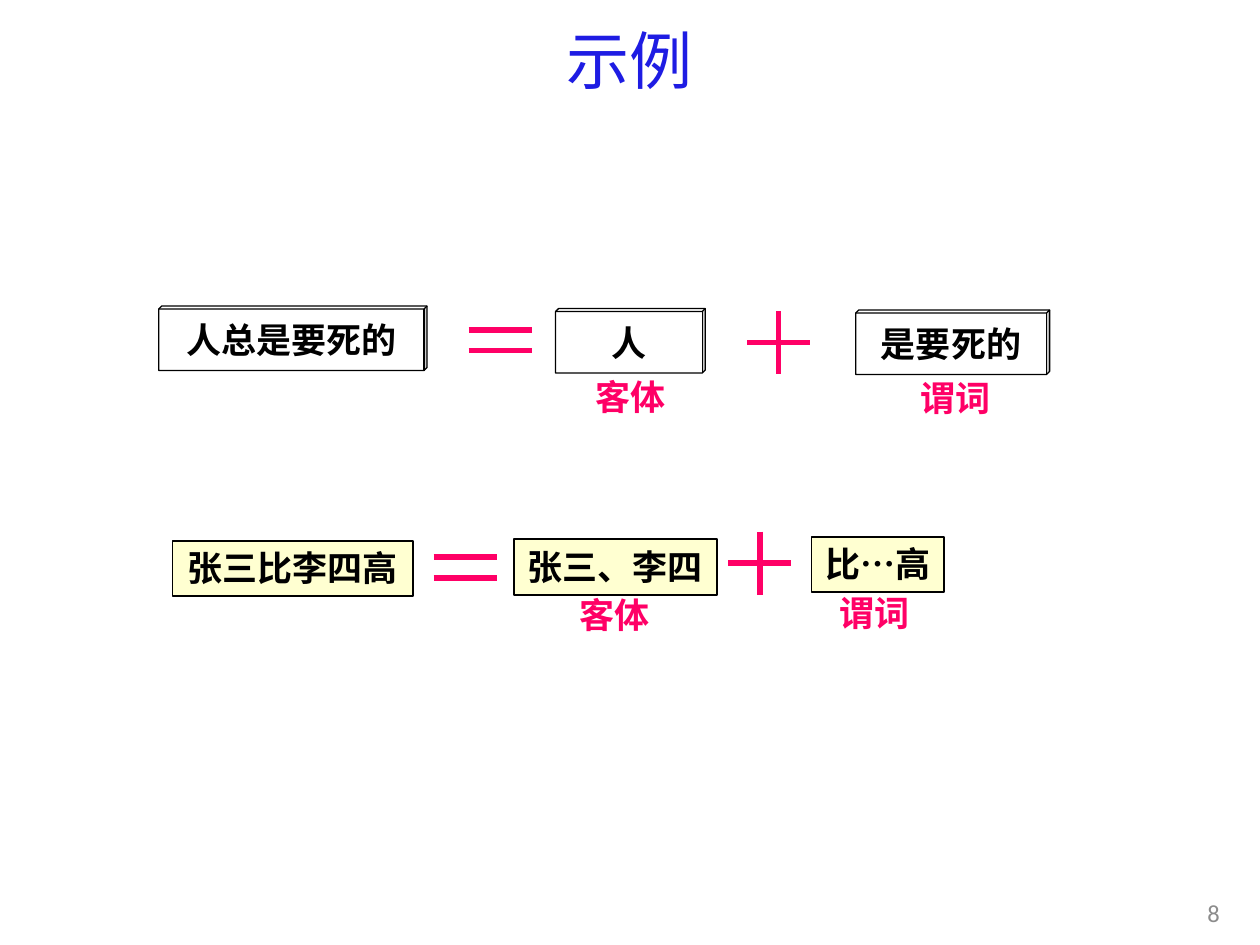
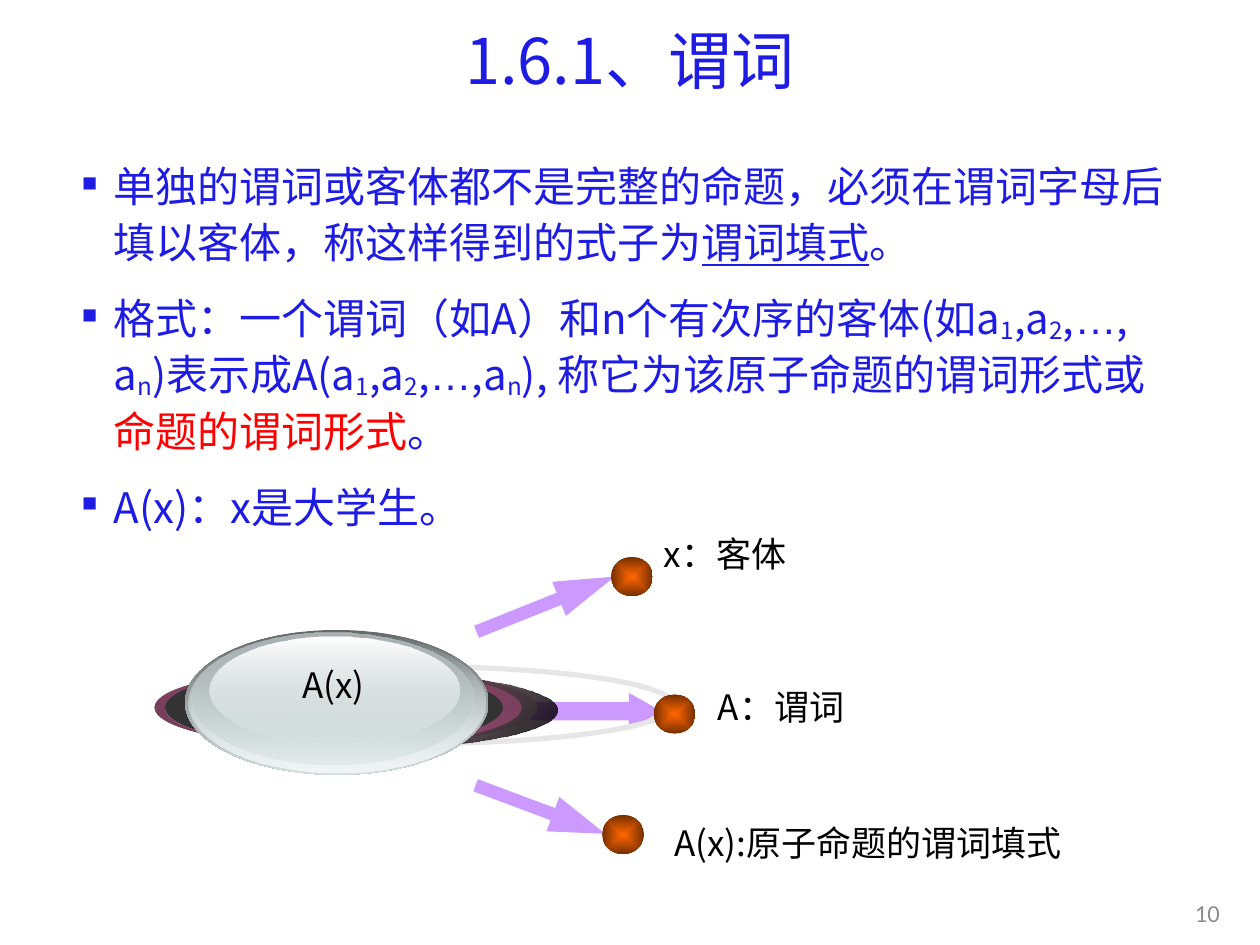
from lxml.etree import SubElement
from pptx import Presentation
from pptx.dml.color import RGBColor
from pptx.enum.shapes import MSO_CONNECTOR as Connector, MSO_SHAPE as Preset
from pptx.enum.text import MSO_ANCHOR as Anchor, PP_ALIGN as Align
from pptx.oxml import parse_xml
from pptx.oxml.ns import nsdecls, qn
from pptx.util import Cm, Pt

COLOURS = {
    "text": "000000", "title": "1E1CE3", "number": "8C8C8C", "accent": "FF0066",
    "white": "FFFFFF", "cream": "FFFFCC", "red": "FF0000", "arrow": "CC99FF",
    "ring": "E7E6E6", "orange": "FF6600", "brown": "762F00", "plum": "954F72",
    "dark plum": "723C57", "mid plum": "7A415E", "charcoal": "333333",
    "steel": "636869", "silver": "AAB2B3", "mist": "D6E1E2", "pale": "F1F5F5",
}
FONT = "Noto Sans CJK SC"
LINE_HEIGHT = 1.12
SIGN_SIZE = 1.27
SIGN_GAP = 0.42
BALL_SIZE = (0.84, 0.79)


def rgb(name):
    return RGBColor.from_string(COLOURS[name])


def add_run(paragraph, text, size=20, colour="text", font=FONT, bold=False,
            underline=False, baseline=0):
    run = paragraph.add_run()
    run.text = text
    run.font.size = Pt(size)
    run.font.bold = bold
    run.font.underline = underline
    run.font.color.rgb = rgb(colour)
    run.font.name = font
    properties = run.font._element
    properties.set("lang", "zh-CN")
    if baseline:
        properties.set("baseline", str(baseline * 1000))
    SubElement(properties, qn("a:ea")).set("typeface", font)


def write_text(shape, *paragraphs, align=Align.LEFT, anchor=Anchor.TOP, wrap=True,
               line_spacing=None, space=None, bullet=None, **run_format):
    frame = shape.text_frame
    frame.word_wrap = wrap
    frame.vertical_anchor = anchor
    for index, pieces in enumerate(paragraphs):
        paragraph = frame.add_paragraph() if index else frame.paragraphs[0]
        paragraph.alignment = align
        if line_spacing:
            paragraph.line_spacing = line_spacing
        if space:
            paragraph.space_before = paragraph.space_after = Pt(space)
        if bullet:
            add_bullet(paragraph, bullet)
        if isinstance(pieces, str):
            pieces = [(pieces, {})]
        for text, changes in pieces:
            add_run(paragraph, text, **{**run_format, **changes})


def add_bullet(paragraph, character, indent=0.64, percent=50):
    properties = paragraph._p.get_or_add_pPr()
    properties.set("marL", str(Cm(indent)))
    properties.set("indent", str(-Cm(indent)))
    colour = SubElement(properties, qn("a:buClr"))
    SubElement(colour, qn("a:srgbClr")).set("val", COLOURS["title"])
    SubElement(properties, qn("a:buSzPct")).set("val", str(percent * 1000))
    SubElement(properties, qn("a:buChar")).set("char", character)


def add_text(slide, left, top, width, height, *paragraphs, **text_format):
    box = slide.shapes.add_textbox(Cm(left), Cm(top), Cm(width), Cm(height))
    write_text(box, *paragraphs, **text_format)


def add_shape(slide, preset, left, top, width, height, fill=None, line=None,
              line_width=1, opacity=100, rotation=0, adjustments=()):
    shape = slide.shapes.add_shape(preset, Cm(left), Cm(top), Cm(width), Cm(height))
    shape.shadow.inherit = False
    shape.rotation = rotation
    for index, value in enumerate(adjustments):
        shape.adjustments[index] = value
    if fill:
        shape.fill.solid()
        shape.fill.fore_color.rgb = rgb(fill)
        if opacity < 100:
            colour = shape._element.spPr.find(qn("a:solidFill"))[0]
            SubElement(colour, qn("a:alpha")).set("val", str(opacity * 1000))
    else:
        shape.fill.background()
    if line:
        shape.line.color.rgb = rgb(line)
        shape.line.width = Pt(line_width)
    else:
        shape.line.fill.background()
    return shape


def add_gradient_ellipse(slide, left, top, width, height, stops, angle=None):
    shape = add_shape(slide, Preset.OVAL, left, top, width, height)
    stop_xml = "".join(
        f'<a:gs pos="{position * 1000}"><a:srgbClr val="{COLOURS[name]}">'
        f'<a:alpha val="{opacity * 1000}"/></a:srgbClr></a:gs>'
        for position, name, opacity in stops)
    if angle is None:
        direction = ('<a:path path="shape"><a:fillToRect l="50000" t="50000" '
                     'r="50000" b="50000"/></a:path>')
    else:
        direction = f'<a:lin ang="{angle * 60000}" scaled="1"/>'
    gradient = parse_xml(f'<a:gradFill {nsdecls("a")} rotWithShape="1">'
                         f'<a:gsLst>{stop_xml}</a:gsLst>{direction}</a:gradFill>')
    properties = shape._element.spPr
    properties.replace(properties.find(qn("a:noFill")), gradient)


def add_line(slide, x1, y1, x2, y2):
    line = slide.shapes.add_connector(Connector.STRAIGHT, Cm(x1), Cm(y1), Cm(x2), Cm(y2))
    line.line.color.rgb = rgb("accent")
    line.line.width = Pt(3)
    SubElement(line._element.spPr, qn("a:effectLst"))


def add_equals(slide, left, top):
    for y in (top, top + SIGN_GAP):
        add_line(slide, left, y, left + SIGN_SIZE, y)


def add_plus(slide, x, y):
    arm = SIGN_SIZE / 2
    add_line(slide, x - arm, y, x + arm, y)
    add_line(slide, x, y - arm, x, y + arm)


def add_cube(slide, left, top, width, text):
    cube = add_shape(slide, Preset.CUBE, left, top, width, 1.3, "white", "text", 0.75,
                     adjustments=[0.048])
    write_text(cube, text, align=Align.CENTER, anchor=Anchor.MIDDLE, wrap=False, bold=True)


def add_card(slide, left, top, width, text):
    card = add_shape(slide, Preset.RECTANGLE, left, top, width, LINE_HEIGHT, "cream",
                     "text", opacity=90)
    write_text(card, text, align=Align.CENTER, wrap=False, bold=True)


def add_role(slide, left, top, width, text, align):
    add_text(slide, left, top, width, LINE_HEIGHT, text, align=align, bold=True,
             colour="accent")


def add_titled_slide(presentation, title, number):
    slide = presentation.slides.add_slide(presentation.slide_layouts[6])
    add_text(slide, 1.75, 0.3, 21.9, 2, title, size=36, colour="title",
             align=Align.CENTER, anchor=Anchor.MIDDLE, line_spacing=0.9)
    add_text(slide, 22.71, 17.88, 2.13, 1.02, number, size=14, colour="number",
             font="Calibri", align=Align.RIGHT, anchor=Anchor.MIDDLE)
    return slide


def indexed_list(separator, last_separator):
    low = {"baseline": -10}
    return [("1", low), (",a", {}), ("2", low), (separator, {}),
            ("…", {"font": "Arial"}), (last_separator, {}), ("n", low)]


def build_example(presentation):
    slide = add_titled_slide(presentation, "示例", "8")

    add_cube(slide, 3.2, 6.17, 5.41, "人总是要死的")
    add_equals(slide, 9.45, 6.65)
    add_cube(slide, 11.2, 6.22, 3.02, "人")
    add_plus(slide, 15.7, 6.91)
    add_cube(slide, 17.25, 6.25, 3.91, "是要死的")
    add_role(slide, 11.76, 7.44, 3.45, "客体", Align.LEFT)
    add_role(slide, 18.31, 7.47, 3.58, "谓词", Align.LEFT)

    add_card(slide, 3.48, 10.9, 4.85, "张三比李四高")
    add_equals(slide, 8.74, 11.23)
    add_card(slide, 10.36, 10.87, 4.09, "张三、李四")
    add_plus(slide, 15.32, 11.35)
    add_card(slide, 16.36, 10.82, 2.67, "比…高")
    add_role(slide, 10.67, 11.84, 3.45, "客体", Align.CENTER)
    add_role(slide, 15.82, 11.79, 3.61, "谓词", Align.CENTER)


def add_disc(slide):
    add_gradient_ellipse(slide, 3.12, 13.49, 7.7, 1.55,
                         [(0, "white", 100), (50, "plum", 100), (100, "white", 100)], 45)
    add_gradient_ellipse(slide, 3.33, 13.54, 7.9, 1.55,
                         [(0, "plum", 32), (100, "text", 90)], 45)
    add_gradient_ellipse(slide, 3.12, 13.49, 7.39, 1.55,
                         [(0, "dark plum", 100), (50, "plum", 100),
                          (100, "dark plum", 100)], 315)
    add_gradient_ellipse(slide, 3.33, 13.49, 7.19, 1.55,
                         [(0, "mid plum", 100), (100, "plum", 0)], 45)
    add_shape(slide, Preset.OVAL, 3.33, 13.49, 6.81, 1.55, "charcoal")


def add_dome(slide):
    layers = [
        (3.73, 12.7, 6.12, 2.92, ("steel", 100), ("mist", 100)),
        (3.81, 12.73, 5.97, 2.84, ("mist", 0), ("pale", 100)),
        (3.86, 12.75, 5.69, 2.67, ("silver", 100), ("mist", 48)),
        (4.22, 12.83, 5.05, 2.16, ("white", 100), ("mist", 38)),
    ]
    for left, top, width, height, start, end in layers:
        add_gradient_ellipse(slide, left, top, width, height,
                             [(0, *start), (100, *end)], 90)
    add_text(slide, 4.32, 13.26, 4.8, LINE_HEIGHT, "A(x)", align=Align.CENTER)


def build_predicate(presentation):
    slide = add_titled_slide(presentation, "1.6.1、谓词", "10")
    add_text(
        slide, 1.4, 3.02, 22.63, 7.72,
        [("单独的谓词或客体都不是完整的命题，必须在谓词字母后填以客体，称这样得到的式子为", {}),
         ("谓词填式", {"underline": True}), ("。", {})],
        [("格式：一个谓词（如A）和n个有次序的客体(如a", {}), *indexed_list(",", ", a"),
         (")表示成A(a", {}), *indexed_list(",", ",a"),
         ("), 称它为该原子命题的谓词形式或", {}),
         ("命题的谓词形式", {"colour": "red"}), ("。", {})],
        "A(x)：x是大学生。",
        size=24, colour="title", line_spacing=1.1, space=6, bullet="■")

    for left, top, width, text in [(13.13, 10.62, 5.41, "x：客体"),
                                   (14.22, 13.69, 4.93, "A：谓词"),
                                   (13.34, 16.43, 9.3, "A(x):原子命题的谓词填式")]:
        add_text(slide, left, top, width, LINE_HEIGHT, text)

    for left, top, width, rotation, adjustments in [
            (9.5, 11.81, 3, 338.2, (0.352, 1.632)),
            (9.5, 15.95, 2.79, 20.5, (0.352, 1.522)),
            (10.67, 13.97, 2.67, 0, (0.5, 0.891))]:
        add_shape(slide, Preset.RIGHT_ARROW, left, top, width, 0.74, "arrow",
                  rotation=rotation, adjustments=adjustments)

    add_shape(slide, Preset.OVAL, 3.2, 13.44, 10.39, 1.55, line="ring", line_width=3)
    for left, top in [(12.32, 11.23), (12.14, 16.43), (13.18, 14)]:
        add_gradient_ellipse(slide, left, top, *BALL_SIZE,
                             [(0, "orange", 100), (100, "brown", 100)])
    add_disc(slide)
    add_dome(slide)


def main():
    presentation = Presentation()
    presentation.slide_width = Cm(25.4)
    presentation.slide_height = Cm(19.05)
    build_example(presentation)
    build_predicate(presentation)
    presentation.save("out.pptx")


if __name__ == "__main__":
    main()
